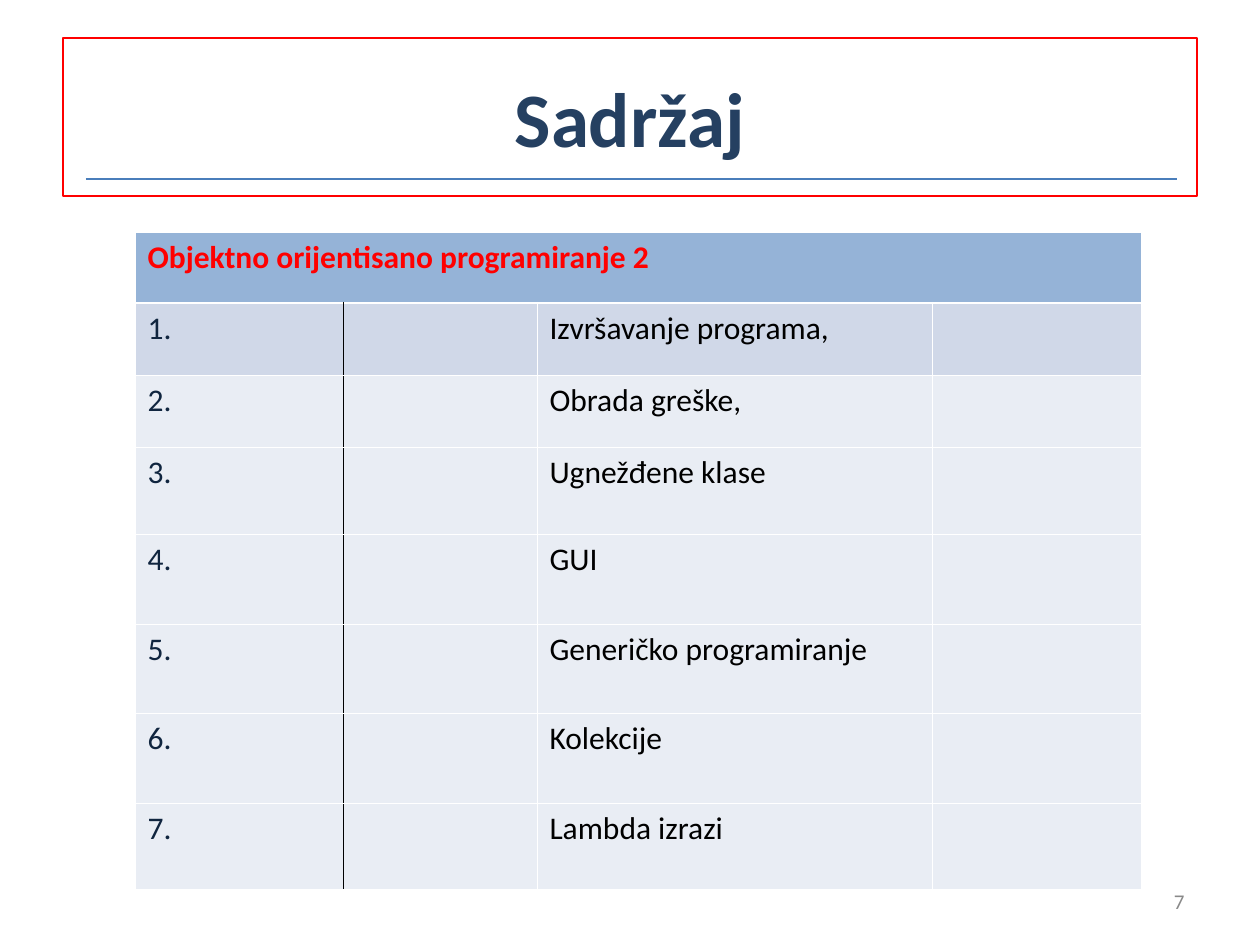
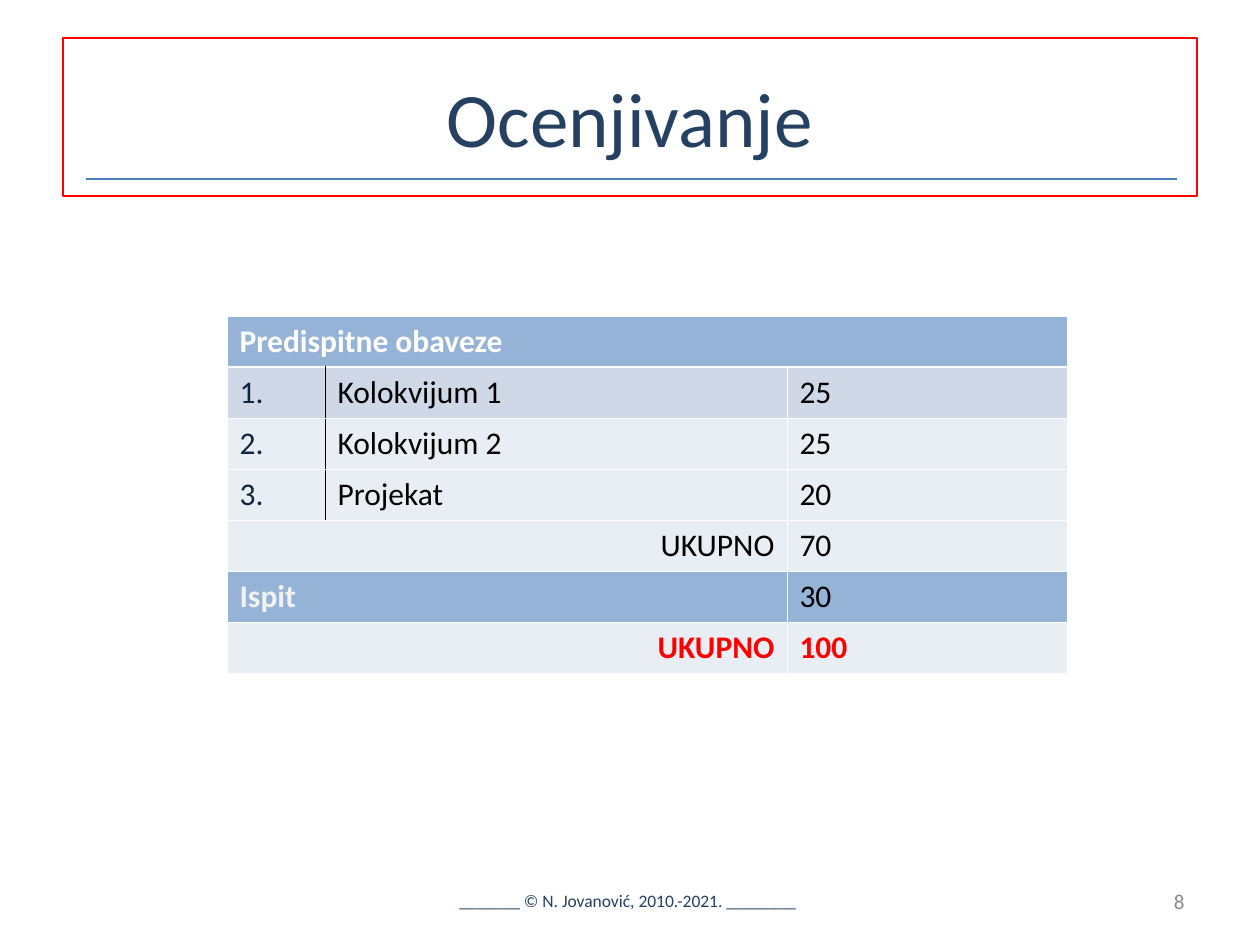
from lxml import etree
from pptx import Presentation
from pptx.dml.color import RGBColor
from pptx.enum.shapes import MSO_CONNECTOR
from pptx.enum.text import MSO_ANCHOR, PP_ALIGN
from pptx.oxml.ns import qn
from pptx.util import Emu, Pt

PX = 914400 / 126
LEFT, CENTER, RIGHT = PP_ALIGN.LEFT, PP_ALIGN.CENTER, PP_ALIGN.RIGHT
MIDDLE = MSO_ANCHOR.MIDDLE
STRAIGHT = MSO_CONNECTOR.STRAIGHT
TITLE_ONLY = 5
FONT = "Calibri"

COLORS = {
    "navy": "254061", "ink": "10253F", "black": "000000", "white": "FFFFFF",
    "off_white": "F2F2F2", "red": "FF0000", "rule": "4A7EBB", "gray": "898989",
    "header": "95B3D7", "band": "D0D8E8", "plain": "E9EDF4",
}

# Text styles: size, bold, colour, alignment
STYLES = {
    "title": (44, False, "navy", CENTER),
    "title_bold": (44, True, "navy", CENTER),
    "footer": (10, False, "navy", CENTER),
    "page": (12, False, "gray", RIGHT),
    "heading": (18, True, "white", LEFT),
    "heading_red": (18, True, "red", LEFT),
    "heading_soft": (18, True, "off_white", LEFT),
    "number": (18, False, "ink", LEFT),
    "body": (18, False, "black", LEFT),
    "subtotal": (18, False, "black", RIGHT),
    "total": (18, True, "red", RIGHT),
    "total_points": (18, True, "red", LEFT),
}

# Table borders in points
THIN, THICK = 0.45, 1.5
MERGED = None


def px(length):
    return Emu(round(length * PX))


def rgb(name):
    return RGBColor.from_string(COLORS[name])


def write(frame, text, style):
    size, bold, color, alignment = STYLES[style]
    paragraph = frame.paragraphs[0]
    paragraph.alignment = alignment
    run = paragraph.add_run()
    run.text = text
    run.font.color.rgb = rgb(color)
    for name, value in {"name": FONT, "size": Pt(size), "bold": bold}.items():
        setattr(run.font, name, value)


def add_title(slide, text, style):
    title = slide.shapes.title
    box = {"left": 63, "top": 38, "width": 1134, "height": 158}
    for name, length in box.items():
        setattr(title, name, px(length))
    title.line.color.rgb = rgb("red")
    title.line.width = Pt(0.75)
    title.text_frame.vertical_anchor = MIDDLE
    write(title.text_frame, text, style)


def add_title_rule(slide):
    rule = slide.shapes.add_connector(
        STRAIGHT, px(86), px(179), px(1177), px(179))
    rule.line.color.rgb = rgb("rule")
    rule.line.width = Pt(0.75)
    etree.SubElement(rule._element.spPr, qn("a:effectLst"))


def add_footer_text(slide, left, width, text, style):
    box = slide.shapes.add_textbox(px(left), px(876), px(width), px(50))
    frame = box.text_frame
    frame.word_wrap = True
    frame.vertical_anchor = MIDDLE
    write(frame, text, style)


def new_slide(prs, title, title_style, page):
    slide = prs.slides.add_slide(prs.slide_layouts[TITLE_ONLY])
    add_title_rule(slide)
    add_title(slide, title, title_style)
    add_footer_text(slide, 903, 294, page, "page")
    return slide


def set_borders(cell, borders):
    """Draw the sides given as {side: (colour, points)}, thin white otherwise."""
    properties = cell._tc.get_or_add_tcPr()
    for side in "LRTB":
        color, points = borders.get(side, ("white", THIN))
        line = etree.SubElement(
            properties, qn(f"a:ln{side}"), w=str(Pt(points)))
        fill = etree.SubElement(line, qn("a:solidFill"))
        etree.SubElement(fill, qn("a:srgbClr"), val=COLORS[color])


def cell_borders(row, column, is_numbered):
    borders = {}
    if row == 0:
        borders["B"] = ("white", THICK)
    elif row == 1:
        borders["T"] = ("white", THICK)
    if is_numbered and column < 2:
        borders["RL"[column]] = ("black", THIN)
    return borders


def add_grid(slide, left, top, widths, heights, rows):
    """Each row is (fill, cells); a cell is (text, style) or MERGED."""
    table = slide.shapes.add_table(
        len(rows), len(widths), px(left), px(top),
        px(sum(widths)), px(sum(heights))).table
    table.first_row = table.horz_banding = False
    for column, width in zip(table.columns, widths):
        column.width = px(width)
    for row, height in zip(table.rows, heights):
        row.height = px(height)
    for r, (fill, cells) in enumerate(rows):
        is_numbered = cells[0][1] == "number"
        for c, content in enumerate(cells):
            cell = table.cell(r, c)
            set_borders(cell, cell_borders(r, c, is_numbered))
            cell.fill.solid()
            cell.fill.fore_color.rgb = rgb(fill)
            if content is not MERGED and content[0]:
                write(cell.text_frame, *content)
        span = cells.count(MERGED)
        if span:
            table.cell(r, 0).merge(table.cell(r, span))


def numbered_rows(entries):
    """Number the rows of cell texts; the first one has the darker band."""
    return [
        ("band" if number == 1 else "plain",
         [(f"{number}.", "number")] + [(text, "body") for text in texts])
        for number, texts in enumerate(entries, 1)
    ]


def build_contents(prs):
    slide = new_slide(prs, "Sadržaj", "title_bold", "7")
    topics = ["Izvršavanje programa,", "Obrada greške,", "Ugnežđene klase",
              "GUI", "Generičko programiranje", "Kolekcije", "Lambda izrazi"]
    course = ("Objektno orijentisano programiranje 2", "heading_red")
    rows = [("header", [course, MERGED, MERGED, MERGED])]
    rows += numbered_rows([("", topic, "") for topic in topics])
    add_grid(slide, 135, 232, [208, 194, 395, 209],
             [71, 72, 72, 87, 90, 89, 90, 87], rows)


def build_grading(prs):
    slide = new_slide(prs, "Ocenjivanje", "title", "8")
    add_footer_text(slide, 351, 553,
                    "_______ © N. Jovanović, 2010.-2021. ________", "footer")
    duties = [("Kolokvijum 1", "25"), ("Kolokvijum 2", "25"),
              ("Projekat", "20")]
    rows = [
        ("header", [("Predispitne obaveze", "heading"), MERGED, MERGED]),
        *numbered_rows(duties),
        ("plain", [("UKUPNO", "subtotal"), MERGED, ("70", "body")]),
        ("header", [("Ispit", "heading_soft"), MERGED, ("30", "body")]),
        ("plain", [("UKUPNO", "total"), MERGED, ("100", "total_points")]),
    ]
    add_grid(slide, 227, 316, [98, 462, 280], [51] * len(rows), rows)


def main():
    prs = Presentation()
    prs.slide_width, prs.slide_height = px(1260), px(945)
    build_contents(prs)
    build_grading(prs)
    prs.save("out.pptx")


if __name__ == "__main__":
    main()
